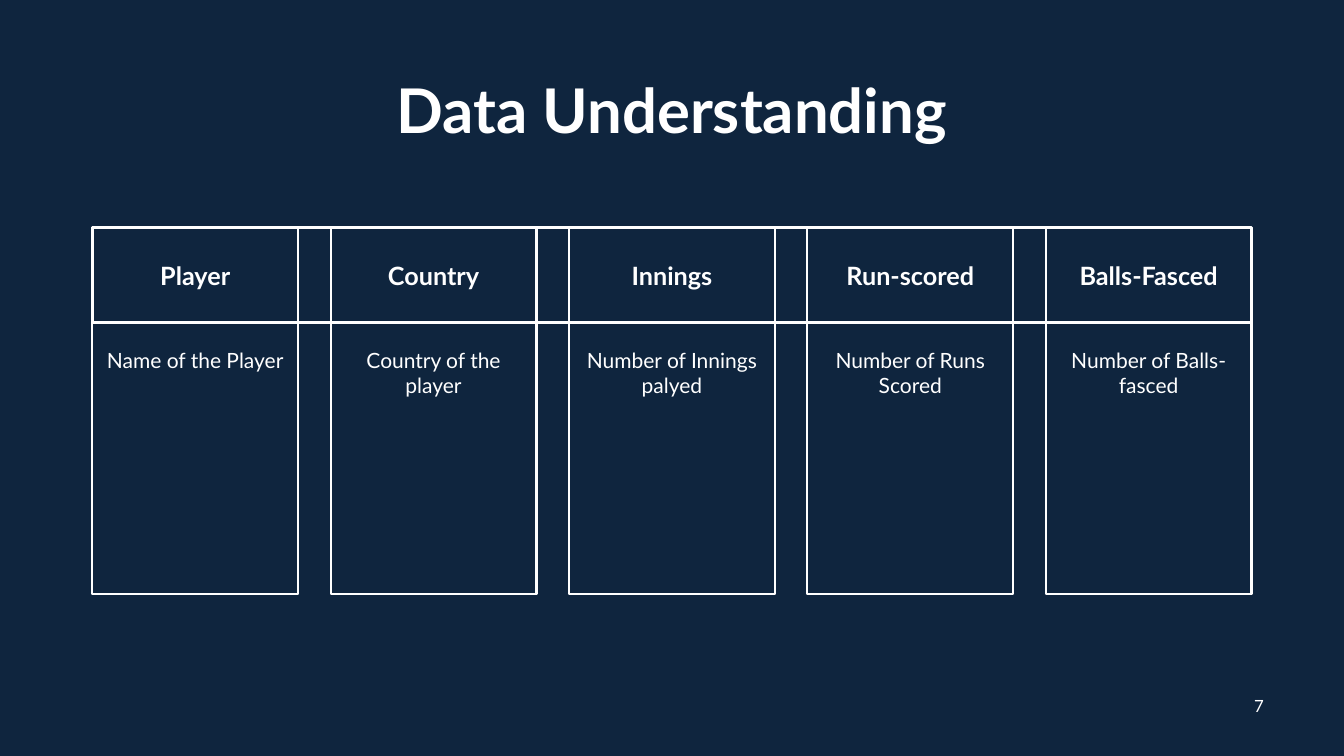
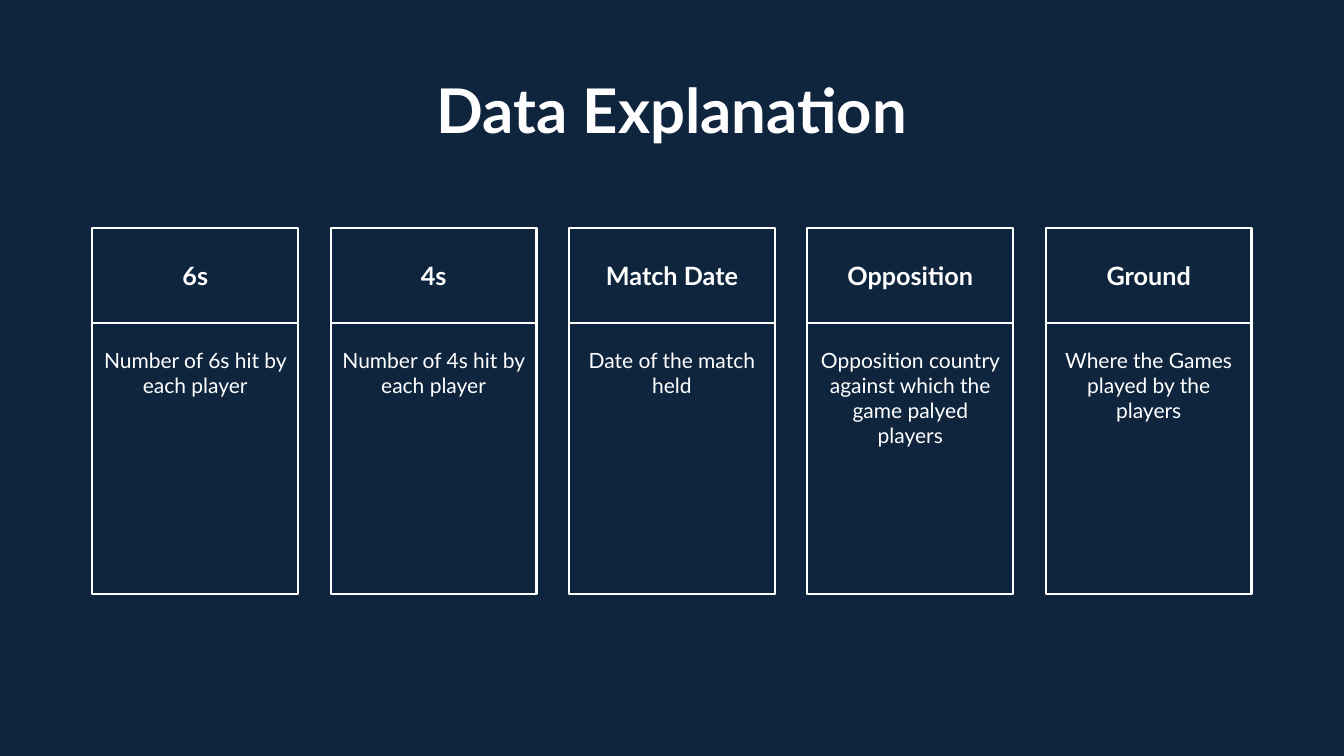
from dataclasses import dataclass

import pptx
import pptx.util
from pptx.dml.color import RGBColor
from pptx.enum.shapes import MSO_SHAPE
from pptx.enum.text import MSO_ANCHOR, MSO_AUTO_SIZE, PP_ALIGN
from pptx.shapes.autoshape import Shape
from pptx.slide import Slide
from pptx.text.text import TextFrame

Pt = pptx.util.Pt


# Shared look
@dataclass(frozen=True)
class Theme:
    font: str = "Lato"
    back: RGBColor = RGBColor(0x0F, 0x25, 0x3E)
    ink: RGBColor = RGBColor(0xFF, 0xFF, 0xFF)
    title: float = 44
    head: float = 18
    body: float = 15
    page: float = 12
    line: float = 1.5
    frame: float = 2.25


@dataclass(frozen=True)
class Box:
    left: float
    top: float
    width: float
    height: float

    def place(self) -> tuple[int, int, int, int]:
        return Pt(self.left), Pt(self.top), Pt(self.width), Pt(self.height)


@dataclass(frozen=True)
class Card:
    head: str
    body: str


@dataclass(frozen=True)
class Page:
    title: str
    cards: list[Card]
    number: str = ""
    framed: bool = False


THEME = Theme()

# Grid: five equal columns across the content width
LEFT, WIDTH, COLS = 66, 828, 5
CARD_W = 147
STEP = (WIDTH - CARD_W) / (COLS - 1)
HEAD_Y, HEAD_H, BODY_H = 162.6, 68, 193.8
BODY_Y = HEAD_Y + HEAD_H
TITLE = Box(LEFT, 28.75, WIDTH, 104.4)
NUMBER = Box(881.3, 489.6, 36, 28.8)
FRAME = Box(LEFT, HEAD_Y, WIDTH, HEAD_H)

PAGES = [
    Page("Data Understanding", [
        Card("Player", "Name of the Player"),
        Card("Country", "Country of the player"),
        Card("Innings", "Number of Innings palyed"),
        Card("Run-scored", "Number of Runs Scored"),
        Card("Balls-Fasced", "Number of Balls-fasced"),
    ], number="7", framed=True),
    Page("Data Explanation", [
        Card("6s", "Number of 6s hit by each player"),
        Card("4s", "Number of 4s hit by each player"),
        Card("Match Date", "Date of the match held"),
        Card("Opposition",
             "Opposition country against which the game palyed players"),
        Card("Ground", "Where the Games played by the players"),
    ]),
]


def write(frame: TextFrame, text: str, size: float, bold: bool = False,
          anchor: MSO_ANCHOR = MSO_ANCHOR.MIDDLE) -> None:
    """Fill a text frame with one centred paragraph."""
    frame.word_wrap = True
    frame.auto_size = MSO_AUTO_SIZE.NONE
    frame.vertical_anchor = anchor
    par = frame.paragraphs[0]
    par.text = text
    par.alignment = PP_ALIGN.CENTER
    par.font.name = THEME.font
    par.font.size = Pt(size)
    par.font.bold = bold
    par.font.color.rgb = THEME.ink


def outline(slide: Slide, box: Box, width: float) -> Shape:
    """Draw an unfilled rectangle."""
    rect = slide.shapes.add_shape(MSO_SHAPE.RECTANGLE, *box.place())
    rect.shadow.inherit = False
    rect.fill.background()
    rect.line.color.rgb = THEME.ink
    rect.line.width = Pt(width)
    return rect


def add_title(slide: Slide, text: str) -> None:
    title = slide.shapes.title
    title.left, title.top, title.width, title.height = TITLE.place()
    write(title.text_frame, text, THEME.title, bold=True)
    title.text_frame.paragraphs[0].line_spacing = 0.9


def add_card(slide: Slide, card: Card, col: int) -> None:
    left = LEFT + col * STEP
    head = outline(slide, Box(left, HEAD_Y, CARD_W, HEAD_H), THEME.line)
    write(head.text_frame, card.head, THEME.head, bold=True)
    body = outline(slide, Box(left, BODY_Y, CARD_W, BODY_H), THEME.line)
    body.text_frame.margin_top = Pt(17.3)
    write(body.text_frame, card.body, THEME.body, anchor=MSO_ANCHOR.TOP)


def add_page(deck: pptx.presentation.Presentation, page: Page) -> None:
    slide = deck.slides.add_slide(deck.slide_layouts.get_by_name("Title Only"))
    add_title(slide, page.title)
    for col, card in enumerate(page.cards):
        add_card(slide, card, col)
    # Page number and header frame
    if page.number:
        label = slide.shapes.add_textbox(*NUMBER.place())
        write(label.text_frame, page.number, THEME.page)
    if page.framed:
        outline(slide, FRAME, THEME.frame)


def main() -> None:
    deck = pptx.Presentation()
    deck.slide_width, deck.slide_height = Pt(960), Pt(540)
    fill = deck.slide_master.background.fill
    fill.solid()
    fill.fore_color.rgb = THEME.back
    for page in PAGES:
        add_page(deck, page)
    deck.save("out.pptx")


if __name__ == "__main__":
    main()
